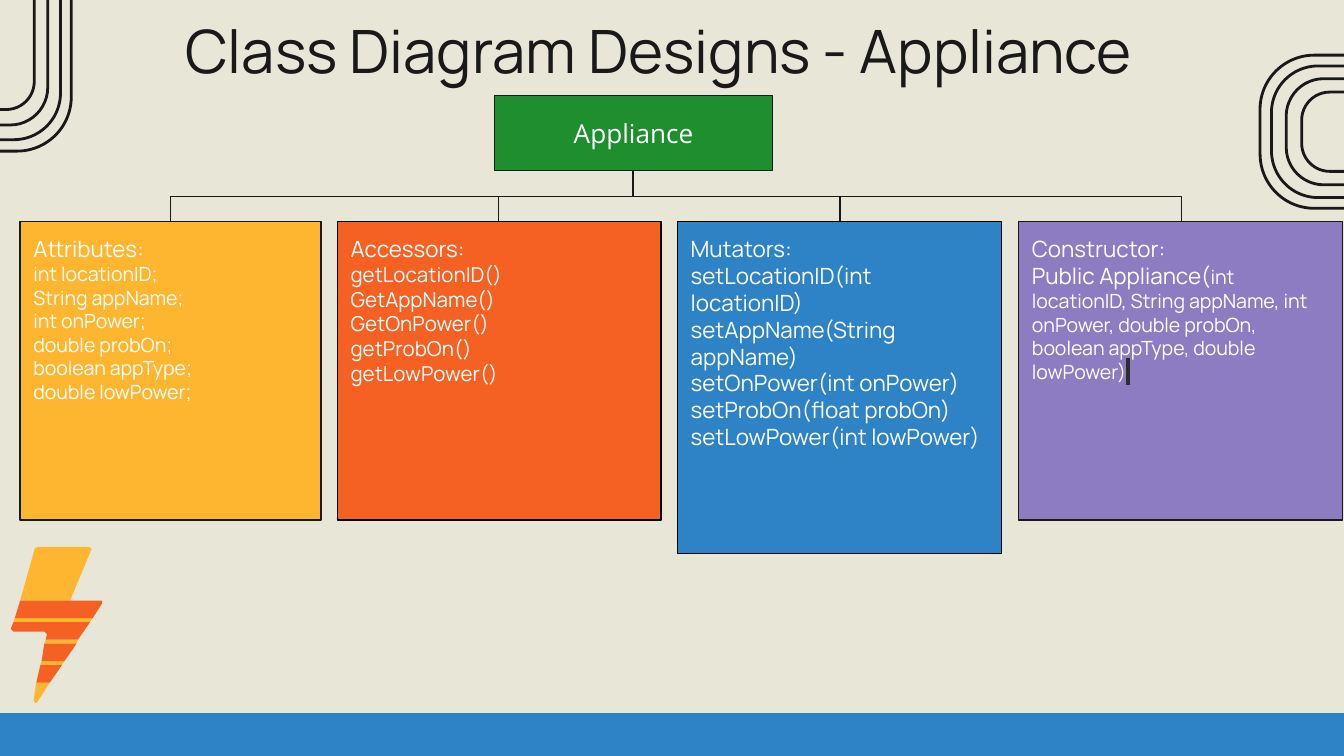
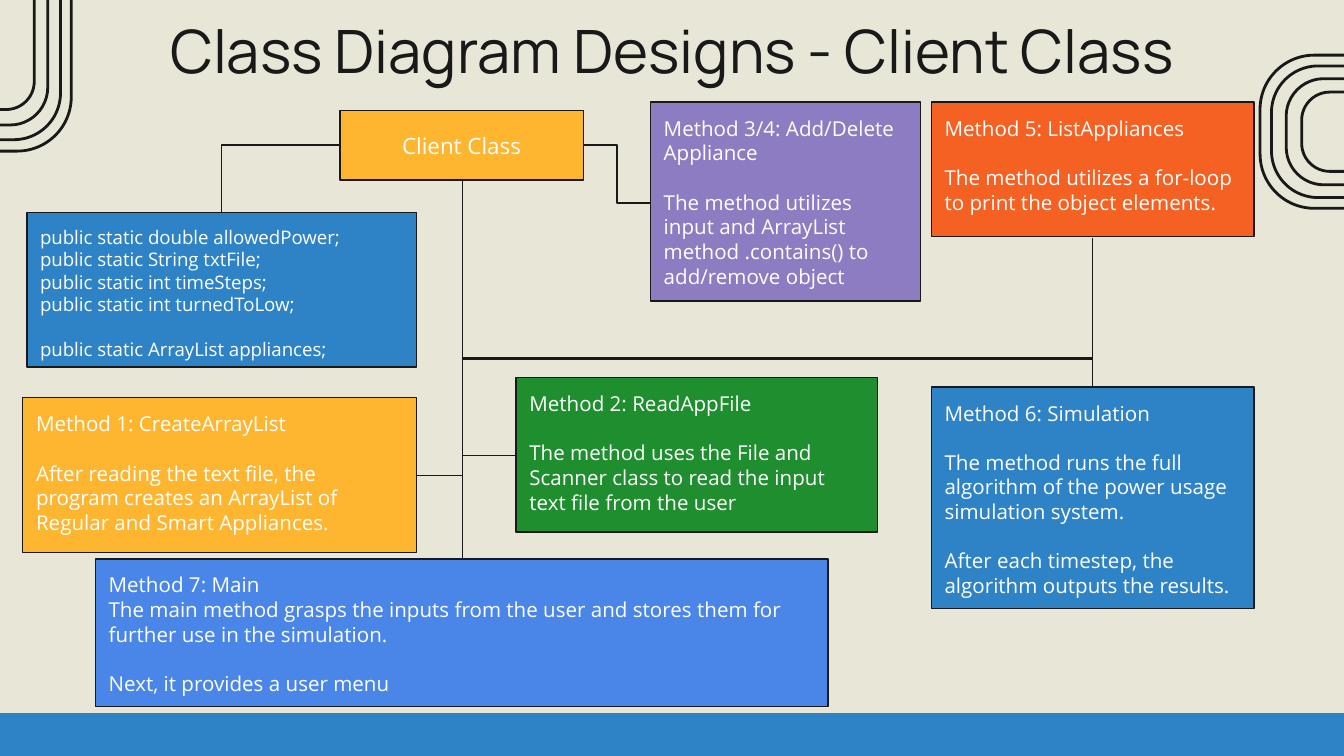
"""Build two class diagram slides for an appliance simulation."""
from dataclasses import dataclass
from typing import NamedTuple

from lxml import etree
from pptx import Presentation
from pptx import util as u
from pptx.dml.color import RGBColor
from pptx.enum import shapes, text
from pptx.oxml import ns

INK, WHITE, BLACK, CREAM = "191919", "FFFFFF", "000000", "E8E6D6"
BLUE, GREEN, AMBER, ORANGE = "2E83C7", "1F8E2E", "FEB530", "F46123"
PURPLE, BRIGHT_BLUE, CURSOR = "8E7CC3", "4A86E8", "2B2D31"
MANROPE, OPEN_SANS = "Manrope", "Open Sans"
PAGE_WIDTH = 10
PAGE_HEIGHT = PAGE_WIDTH * 9 / 16
LINE_HEIGHT = 1.2
TRACK_SIZES = ((3.93, 1.14), (3.76, 0.98), (3.54, 0.79), (3.31, 0.59))


class Span(NamedTuple):
    """A stretch of text in one size."""

    words: str
    size: float
    highlight: str | None = None


class Para(NamedTuple):
    """A paragraph, with a blank line's space above it if gap is set."""

    spans: tuple[Span, ...]
    gap: bool = False


@dataclass
class Card:
    """A filled box of the diagram."""

    left: float
    top: float
    width: float
    height: float
    fill: str
    paras: list[Para]
    font: str = OPEN_SANS
    outline: str = INK
    heading: bool = False


@dataclass
class Link:
    """A connector; bends counts its corners and upright means it leaves downwards."""

    start: tuple[float, float]
    end: tuple[float, float]
    bends: int = 2
    upright: bool = True
    bend_at: float = 0.5


def inches(value: float) -> int:
    """Turn a length in inches into slide units."""
    return u.Cm(value * 2.54)


def colour(code: str) -> RGBColor:
    """Turn a hex string into a colour."""
    return RGBColor.from_string(code)


def lines(size: float, *words: str, gaps: tuple[int, ...] = ()) -> list[Para]:
    """Make one paragraph per string, with space above those numbered in gaps."""
    return [Para((Span(item, size),), i in gaps) for i, item in enumerate(words)]


def style(shape, fill: str | None = None, line: str | None = None, weight: float = 0.75) -> None:
    """Set the fill and outline of a shape and drop its shadow."""
    shape.shadow.inherit = False
    if fill:
        shape.fill.solid()
        shape.fill.fore_color.rgb = colour(fill)
    else:
        shape.fill.background()
    if line:
        shape.line.color.rgb = colour(line)
        shape.line.width = u.Pt(weight)
    else:
        shape.line.fill.background()


def write(box, paras: list[Para], *, font: str, ink: str = WHITE,
          centred: bool = False, middle: bool = False) -> None:
    """Fill a box with formatted paragraphs."""
    frame = box.text_frame
    frame.word_wrap = True
    frame.auto_size = text.MSO_AUTO_SIZE.NONE
    frame.vertical_anchor = text.MSO_ANCHOR.MIDDLE if middle else text.MSO_ANCHOR.TOP
    for side in ("left", "top", "right", "bottom"):
        setattr(frame, f"margin_{side}", inches(0.1))
    for index, item in enumerate(paras):
        para = frame.add_paragraph() if index else frame.paragraphs[0]
        para.alignment = text.PP_ALIGN.CENTER if centred else text.PP_ALIGN.LEFT
        if item.gap:
            para.space_before = u.Pt(item.spans[0].size * LINE_HEIGHT)
        for piece in item.spans:
            span = para.add_run()
            span.text = piece.words
            span.font.size = u.Pt(piece.size)
            span.font.name = font
            span.font.color.rgb = colour(ink)
            if piece.highlight:
                mark = etree.Element(ns.qn("a:highlight"))
                etree.SubElement(mark, ns.qn("a:srgbClr"), val=piece.highlight)
                span.font._element.find(ns.qn("a:latin")).addprevious(mark)


def add_box(parent, left: float, top: float, width: float, height: float,
            kind=shapes.MSO_SHAPE.RECTANGLE):
    """Add a preset shape measured in inches."""
    return parent.shapes.add_shape(kind, *map(inches, (left, top, width, height)))


def add_card(page, card: Card) -> None:
    """Draw one box of the diagram with its text."""
    box = add_box(page, card.left, card.top, card.width, card.height)
    style(box, card.fill, card.outline)
    write(box, card.paras, font=card.font, centred=card.heading, middle=card.heading)


def add_link(page, link: Link) -> None:
    """Draw a straight or bent connector."""
    (x1, y1), (x2, y2) = link.start, link.end
    turned = link.bends > 0 and link.upright
    leftward = x2 < x1
    if turned:
        middle_x, middle_y = (x1 + x2) / 2, (y1 + y2) / 2
        half_width, half_height = (y2 - y1) / 2, abs(x2 - x1) / 2
        x1, x2 = middle_x - half_width, middle_x + half_width
        y1, y2 = middle_y - half_height, middle_y + half_height
        if not leftward:
            x1, x2 = x2, x1
    kind = shapes.MSO_CONNECTOR.ELBOW if link.bends else shapes.MSO_CONNECTOR.STRAIGHT
    wire = page.shapes.add_connector(kind, *map(inches, (x1, y1, x2, y2)))
    wire.line.color.rgb = colour(INK)
    wire.line.width = u.Pt(0.75)
    properties = wire.element.spPr
    etree.SubElement(properties, ns.qn("a:effectLst"))
    if turned:
        angle = 90 if leftward else 270
        properties.find(ns.qn("a:xfrm")).set("rot", str(angle * 60000))
    geometry = properties.find(ns.qn("a:prstGeom"))
    if link.bends == 1:
        geometry.set("prst", "bentConnector2")
    elif link.bends == 2:
        guides = geometry.find(ns.qn("a:avLst"))
        etree.SubElement(guides, ns.qn("a:gd"), name="adj1",
                         fmla=f"val {round(link.bend_at * 100000)}")


def add_tracks(page, centre_x: float, centre_y: float, angle: int) -> None:
    """Draw nested rounded outlines around one centre."""
    group = page.shapes.add_group_shape()
    for width, height in TRACK_SIZES:
        track = add_box(group, centre_x - width / 2, centre_y - height / 2, width, height,
                        shapes.MSO_SHAPE.ROUNDED_RECTANGLE)
        track.adjustments[0] = 0.354
        track.rotation = angle
        style(track, line=INK, weight=1.5)


def add_bolt(page) -> None:
    """Draw the striped lightning bolt."""
    group = page.shapes.add_group_shape()
    for fill, points in BOLT:
        corners = [(inches(x), inches(y)) for x, y in points]
        builder = group.shapes.build_freeform(*corners[0])
        builder.add_line_segments(corners[1:], close=True)
        style(builder.convert_to_shape(), fill)


def add_page(deck, title: str, title_left: float, cards: list[Card], links: list[Link]):
    """Add a slide with the shared decoration, a title and a diagram."""
    page = deck.slides.add_slide(deck.slide_layouts[6])
    page.background.fill.solid()
    page.background.fill.fore_color.rgb = colour(CREAM)
    add_tracks(page, -0.04, -0.84, 90)
    add_tracks(page, 11.34, 0.98, 180)
    style(add_box(page, 0, 5.31, PAGE_WIDTH, 0.32), BLUE, BLUE)
    heading = page.shapes.add_textbox(*map(inches, (title_left, 0, 8.43, 0.63)))
    write(heading, lines(32, title), font=MANROPE, ink=INK, centred=True)
    for link in links:
        add_link(page, link)
    for card in cards:
        add_card(page, card)
    return page


BOLT = (
    (AMBER, ((0.28, 4.07), (0.26, 4.08), (0.15, 4.47), (0.53, 4.47), (0.53, 4.45),
             (0.68, 4.09), (0.68, 4.08), (0.66, 4.07))),
    (AMBER, ((0.27, 5.08), (0.25, 5.21), (0.26, 5.23), (0.27, 5.23), (0.28, 5.22),
             (0.37, 5.08))),
    (AMBER, ((0.31, 4.92), (0.3, 4.95), (0.46, 4.95), (0.48, 4.92))),
    (AMBER, ((0.34, 4.76), (0.33, 4.79), (0.57, 4.79), (0.58, 4.76))),
    (AMBER, ((0.11, 4.6), (0.1, 4.63), (0.67, 4.63), (0.69, 4.6))),
    (ORANGE, ((0.3, 4.95), (0.27, 5.08), (0.37, 5.08), (0.46, 4.95))),
    (ORANGE, ((0.33, 4.79), (0.31, 4.92), (0.48, 4.92), (0.57, 4.79))),
    (ORANGE, ((0.1, 4.63), (0.08, 4.68), (0.1, 4.7), (0.33, 4.7), (0.35, 4.72),
              (0.34, 4.76), (0.58, 4.76), (0.67, 4.63))),
    (ORANGE, ((0.15, 4.47), (0.11, 4.6), (0.69, 4.6), (0.76, 4.49), (0.76, 4.47),
              (0.54, 4.47))),
)

APPLIANCE_CARDS = [
    Card(3.68, 0.71, 2.07, 0.56, GREEN, lines(14, "Appliance"), heading=True),
    Card(0.15, 1.65, 2.24, 2.22, AMBER, lines(12, "Attributes:") + lines(
        10.5, "int locationID;", "String appName;", "int onPower;", "double probOn;",
        "boolean appType;", "double lowPower;"), MANROPE),
    Card(5.04, 1.65, 2.41, 2.47, BLUE, lines(
        12, "Mutators:", "setLocationID(int locationID)", "setAppName(String appName)",
        "setOnPower(int onPower)", "setProbOn(float probOn)",
        "setLowPower(int lowPower)"), MANROPE, BLACK),
    Card(2.51, 1.65, 2.41, 2.22, ORANGE, lines(12, "Accessors:") + lines(
        11, "getLocationID()", "GetAppName()", "GetOnPower()", "getProbOn()",
        "getLowPower()"), MANROPE, BLACK),
    Card(7.58, 1.65, 2.41, 2.22, PURPLE, lines(12, "Constructor:") + [Para((
        Span("Public Appliance(", 12),
        Span("int locationID, String appName, int onPower, double probOn, "
             "boolean appType, double lowPower)", 10.5),
        Span(" ", 10.5, CURSOR)))], MANROPE),
]
APPLIANCE_LINKS = [Link((4.71, 1.27), (x, 1.65)) for x in (3.71, 6.25, 8.79, 1.27)]

CLIENT_CARDS = [
    Card(2.53, 0.82, 1.81, 0.52, AMBER, lines(12, "Client Class"), heading=True),
    Card(0.2, 1.58, 2.9, 1.15, BLUE, lines(
        10, "public static double allowedPower;", "public static String txtFile;",
        "public static int timeSteps;", "public static int turnedToLow;",
        "public static ArrayList appliances;", gaps=(4,))),
    Card(0.17, 2.96, 2.93, 1.15, AMBER, lines(
        11, "Method 1: CreateArrayList", "After reading the text file, the program creates "
        "an ArrayList of Regular and Smart Appliances.", gaps=(1,))),
    Card(3.84, 2.81, 2.69, 1.15, GREEN, lines(
        11, "Method 2: ReadAppFile", "The method uses the File and Scanner class to read "
        "the input text file from the user", gaps=(1,))),
    Card(4.84, 0.76, 2.01, 1.48, PURPLE, lines(
        11, "Method 3/4: Add/Delete Appliance", "The method utilizes input and ArrayList "
        "method .contains() to add/remove object", gaps=(1,))),
    Card(6.93, 0.76, 2.4, 1, ORANGE, lines(
        11, "Method 5: ListAppliances",
        "The method utilizes a for-loop to print the object elements.", gaps=(1,))),
    Card(6.93, 2.88, 2.4, 1.65, BLUE, lines(
        11, "Method 6: Simulation",
        "The method runs the full algorithm of the power usage simulation system.",
        "After each timestep, the algorithm outputs the results.", gaps=(1, 2))),
    Card(0.71, 4.16, 5.45, 1.1, BRIGHT_BLUE, lines(
        11, "Method 7: Main", "The main method grasps the inputs from the user and stores "
        "them for further use in the simulation.", "Next, it provides a user menu",
        gaps=(2,))),
]
TRUNK = (3.44, 1.34)
CLIENT_LINKS = [
    Link((2.53, 1.08), (1.65, 1.58), bends=1, upright=False),
    Link(TRUNK, (3.1, 3.54), bends=1),
    Link(TRUNK, (3.84, 3.39), bends=1),
    Link((4.34, 1.08), (4.84, 1.51), upright=False),
    Link(TRUNK, (8.13, 1.77), bend_at=3.1),
    Link(TRUNK, (8.13, 2.88), bend_at=0.86),
    Link(TRUNK, (3.44, 4.16), bends=0),
]


def main() -> None:
    """Build and save the deck."""
    deck = Presentation()
    deck.slide_width, deck.slide_height = inches(PAGE_WIDTH), inches(PAGE_HEIGHT)
    appliance = add_page(deck, "Class Diagram Designs - Appliance", 0.69,
                         APPLIANCE_CARDS, APPLIANCE_LINKS)
    add_bolt(appliance)
    add_page(deck, "Class Diagram Designs - Client Class", 0.79, CLIENT_CARDS, CLIENT_LINKS)
    deck.save("out.pptx")


if __name__ == "__main__":
    main()
